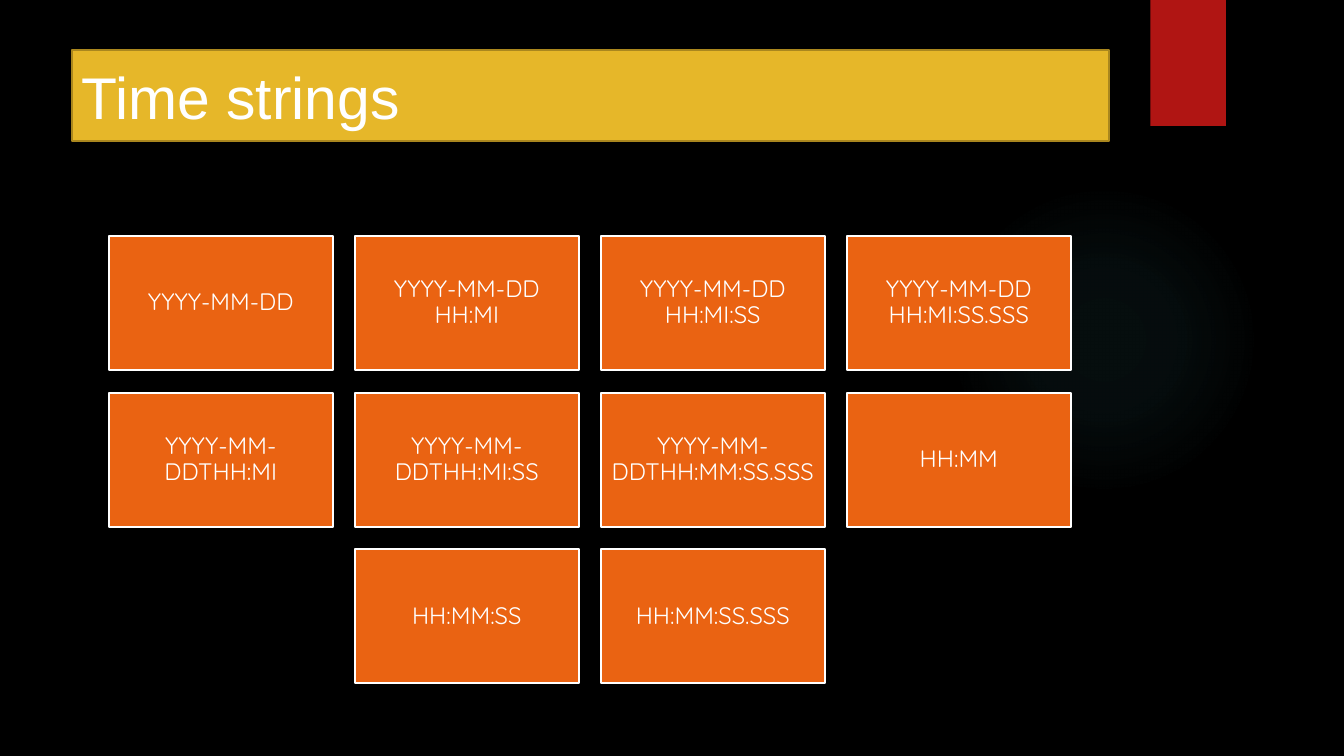
from lxml import etree
from pptx import Presentation
from pptx.dml.color import RGBColor
from pptx.enum import shapes, text
from pptx.oxml import ns
from pptx.util import Inches, Pt

BLACK = RGBColor(0x00, 0x00, 0x00)
WHITE = RGBColor(0xFF, 0xFF, 0xFF)
RED = RGBColor(0xB0, 0x15, 0x13)
GOLD = RGBColor(0xE6, 0xB7, 0x29)
DARK_GOLD = RGBColor(0xAA, 0x87, 0x1E)
ORANGE = RGBColor(0xEA, 0x63, 0x12)
TEAL = RGBColor(0x50, 0xB9, 0xC1)

GLOW_STOPS = [(0, 7), (36, 6), (69, 0), (100, 0)]
FORMATS = [
    "YYYY-MM-DD",
    "YYYY-MM-DD HH:MI",
    "YYYY-MM-DD HH:MI:SS",
    "YYYY-MM-DD HH:MI:SS.SSS",
    "YYYY-MM-DDTHH:MI",
    "YYYY-MM-DDTHH:MI:SS",
    "YYYY-MM-DDTHH:MM:SS.SSS",
    "HH:MM",
    "HH:MM:SS",
    "HH:MM:SS.SSS",
]
COLUMNS = 4
CARD_W, CARD_H = 2.22, 1.33
STEP_X, STEP_Y = 2.44, 1.555
GRID_LEFT, GRID_TOP = 1.08, 2.34


def set_attrs(obj, **values):
    for name, value in values.items():
        setattr(obj, name, value)


def paint(sp, fill, line=None):
    sp.fill.solid()
    sp.fill.fore_color.rgb = fill
    if line is None:
        sp.line.fill.background()
    else:
        sp.line.color.rgb = line
        sp.line.width = Pt(1.5)


def write(sp, words, font, size, align, **frame):
    tf = sp.text_frame
    set_attrs(tf, word_wrap=True, vertical_anchor=text.MSO_ANCHOR.MIDDLE, **frame)
    p = tf.paragraphs[0]
    p.alignment = align
    r = p.add_run()
    r.text = words
    set_attrs(r.font, name=font, size=Pt(size), bold=False)
    r.font.color.rgb = WHITE
    return p


def add_shape(s, kind, left, top, width, height):
    sp = s.shapes.add_shape(kind, *map(Inches, (left, top, width, height)))
    sp.shadow.inherit = False
    return sp


def add_glow(s):
    sp = add_shape(s, shapes.MSO_SHAPE.OVAL, 9.41, 1.83, 3.08, 3.08)
    sp.line.fill.background()
    stops = "".join(
        f'<a:gs pos="{pos * 1000}"><a:srgbClr val="{TEAL}">'
        f'<a:alpha val="{alpha * 1000}"/></a:srgbClr></a:gs>'
        for pos, alpha in GLOW_STOPS
    )
    grad = etree.fromstring(
        f'<a:gradFill {ns.nsdecls("a")}><a:gsLst>{stops}</a:gsLst>'
        '<a:path path="circle"><a:fillToRect l="50000" t="50000" r="50000" b="50000"/>'
        "</a:path></a:gradFill>"
    )
    sp._element.spPr.find(ns.qn("a:prstGeom")).addnext(grad)


def add_ribbon(s):
    paint(add_shape(s, shapes.MSO_SHAPE.RECTANGLE, 11.41, 0, 0.75, 1.25), RED)


def add_title(s, words):
    sp = s.shapes.title
    set_attrs(sp, left=Inches(0.71), top=Inches(0.5), width=Inches(10.29), height=Inches(0.9))
    paint(sp, GOLD, DARK_GOLD)
    write(sp, words, "Arial", 42, text.PP_ALIGN.LEFT, auto_size=text.MSO_AUTO_SIZE.NONE)


def add_card(s, words, left, top):
    sp = add_shape(s, shapes.MSO_SHAPE.RECTANGLE, left, top, CARD_W, CARD_H)
    paint(sp, ORANGE, WHITE)
    sides = ("left", "top", "right", "bottom")
    margins = {f"margin_{side}": Inches(0.07) for side in sides}
    p = write(sp, words, "Quicksand", 17, text.PP_ALIGN.CENTER, **margins)
    p.line_spacing = 0.9


def add_cards(s):
    for start in range(0, len(FORMATS), COLUMNS):
        row = FORMATS[start:start + COLUMNS]
        left = GRID_LEFT + (COLUMNS - len(row)) * STEP_X / 2
        top = GRID_TOP + start // COLUMNS * STEP_Y
        for col, words in enumerate(row):
            add_card(s, words, left + col * STEP_X, top)


def main():
    prs = Presentation()
    set_attrs(prs, slide_width=Inches(13.33), slide_height=Inches(7.5))
    s = prs.slides.add_slide(prs.slide_layouts[5])
    s.background.fill.solid()
    s.background.fill.fore_color.rgb = BLACK
    add_glow(s)
    add_ribbon(s)
    add_title(s, "Time strings")
    add_cards(s)
    prs.save("out.pptx")


if __name__ == "__main__":
    main()
